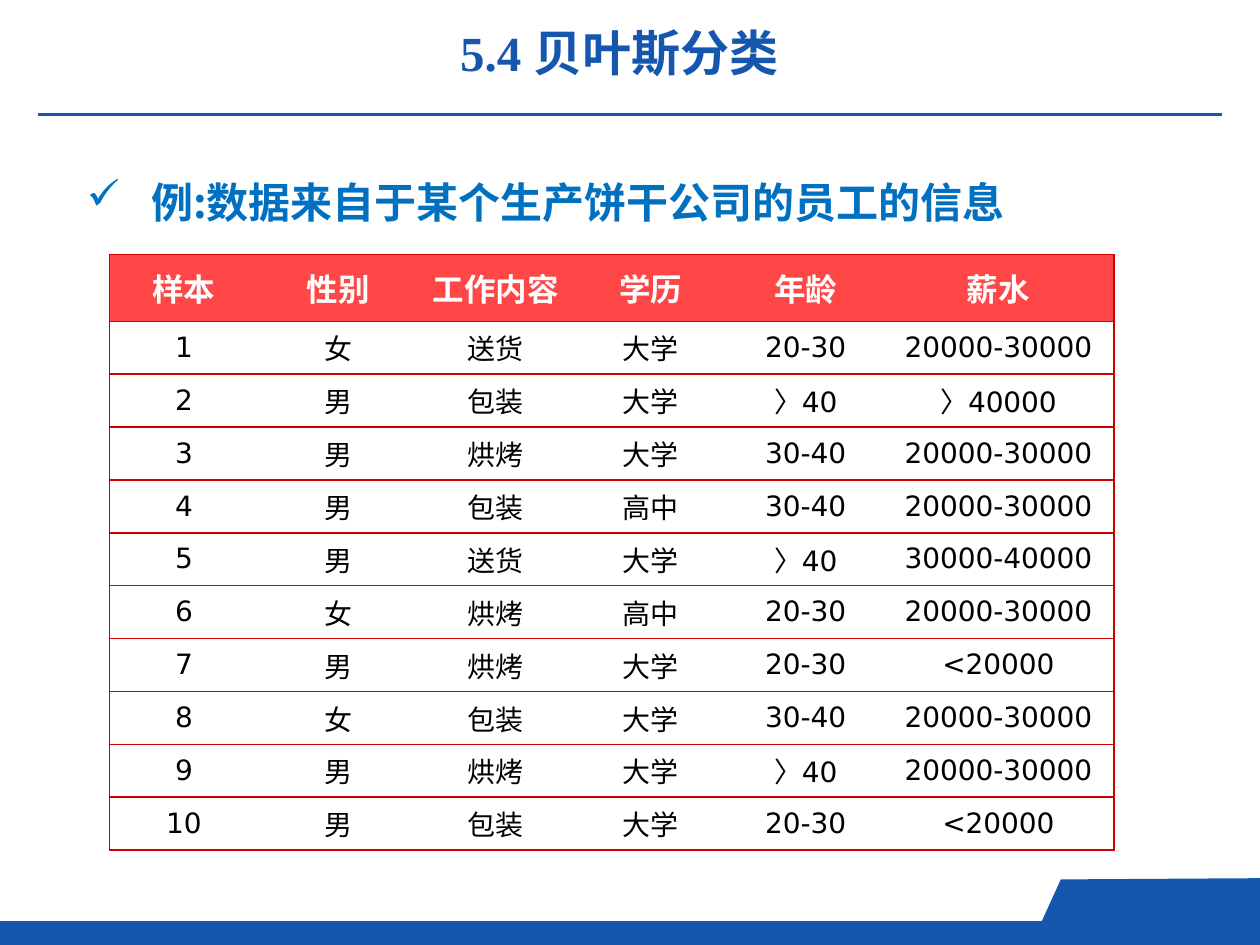
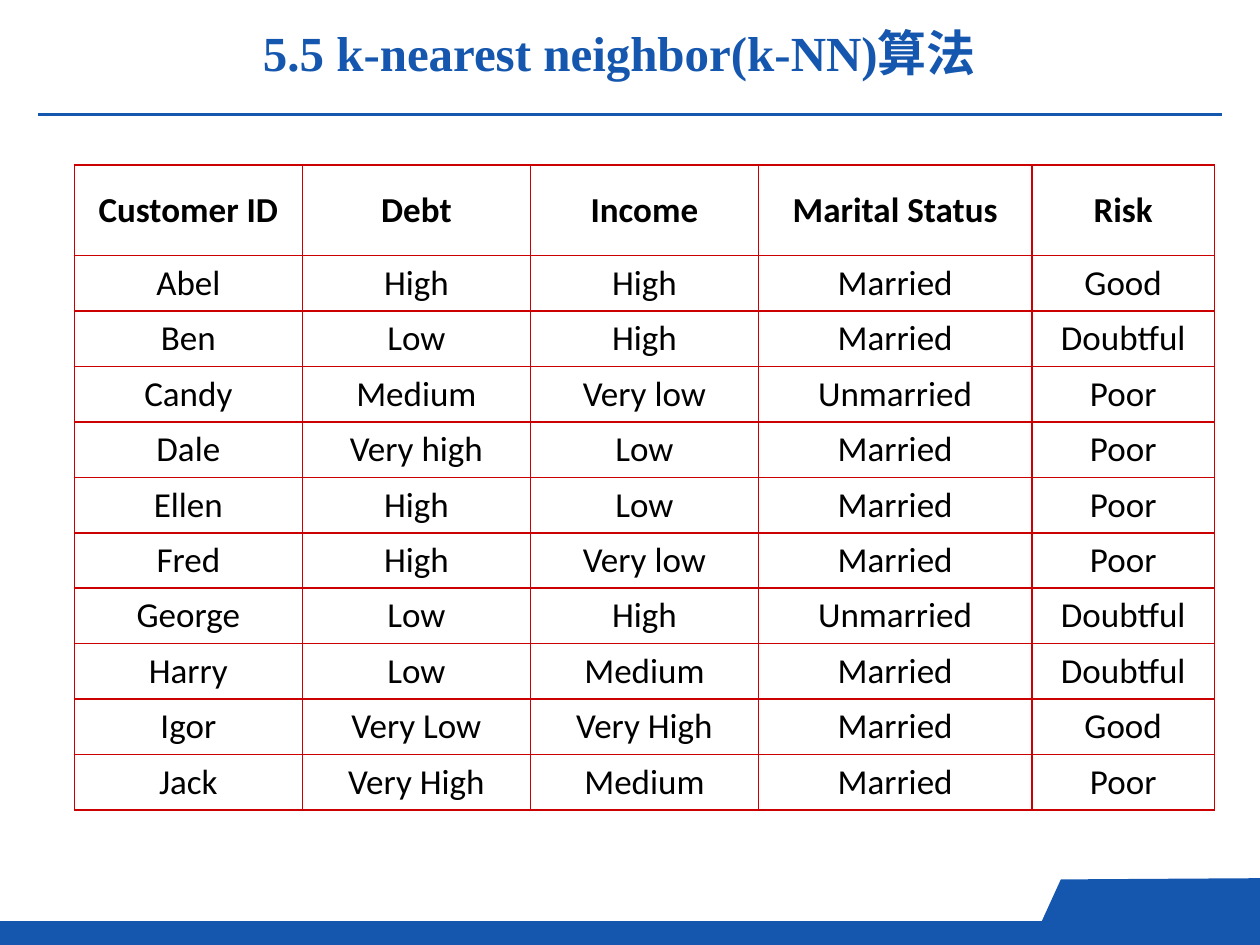
from lxml.etree import SubElement
from pptx import Presentation
from pptx.dml.color import RGBColor
from pptx.enum.shapes import MSO_CONNECTOR, MSO_SHAPE
from pptx.enum.text import MSO_ANCHOR, PP_ALIGN
from pptx.oxml import parse_xml
from pptx.oxml.ns import nsdecls, qn
from pptx.util import Inches, Pt

BLUE, SKY, RED, ROSE = "1557AE", "0070C0", "CC0000", "FF4747"
BLACK, WHITE = "000000", "FFFFFF"
HAN = "Noto Sans CJK SC"

STAFF = """样本 性别 工作内容 学历 年龄 薪水
1 女 送货 大学 20-30 20000-30000
2 男 包装 大学 〉40 〉40000
3 男 烘烤 大学 30-40 20000-30000
4 男 包装 高中 30-40 20000-30000
5 男 送货 大学 〉40 30000-40000
6 女 烘烤 高中 20-30 20000-30000
7 男 烘烤 大学 20-30 <20000
8 女 包装 大学 30-40 20000-30000
9 男 烘烤 大学 〉40 20000-30000
10 男 包装 大学 20-30 <20000"""

CREDIT = """Customer ID,Debt,Income,Marital Status,Risk
Abel,High,High,Married,Good
Ben,Low,High,Married,Doubtful
Candy,Medium,Very low,Unmarried,Poor
Dale,Very high,Low,Married,Poor
Ellen,High,Low,Married,Poor
Fred,High,Very low,Married,Poor
George,Low,High,Unmarried,Doubtful
Harry,Low,Medium,Married,Doubtful
Igor,Very Low,Very High,Married,Good
Jack,Very High,Medium,Married,Poor"""


def color(code):
    """Turn a hex string into a colour."""
    return RGBColor.from_string(code)


def paint(shape, code):
    """Fill a shape flat, with no line or shadow."""
    shape.fill.solid()
    shape.fill.fore_color.rgb = color(code)
    shape.line.fill.background()
    shape.shadow.inherit = False


def add_run(para, text, size, face, code, bold=False):
    """Add one styled run to a paragraph."""
    run = para.add_run()
    run.text = text
    font = run.font
    font.size, font.name, font.bold = Pt(size), face, bold
    font.color.rgb = color(code)
    SubElement(run._r.get_or_add_rPr(), qn("a:ea")).set("typeface", HAN)


def add_box(slide, left, top, width, height):
    """Add a wrapping text box and return its first paragraph."""
    box = slide.shapes.add_textbox(
        Inches(left), Inches(top), Inches(width), Inches(height))
    box.text_frame.word_wrap = True
    return box.text_frame.paragraphs[0]


def add_tab(slide, top):
    """Add the slanted tab in the lower right corner."""
    points = [(8.26, top + 0.36), (8.42, top + 0.01), (10, top), (10, top + 0.36)]
    spots = [(Inches(x), Inches(y)) for x, y in points]
    form = slide.shapes.build_freeform(*spots[0])
    form.add_line_segments(spots[1:], close=True)
    paint(form.convert_to_shape(), BLUE)


def add_frame(deck, title):
    """Add a slide with the title, rule and footer."""
    slide = deck.slides.add_slide(deck.slide_layouts[6])
    for top in (7.09, 6.97):
        add_tab(slide, top)
    band = slide.shapes.add_shape(
        MSO_SHAPE.FLOWCHART_PROCESS, 0, Inches(7.31), Inches(10), Inches(0.19))
    paint(band, BLUE)
    rule = slide.shapes.add_connector(
        MSO_CONNECTOR.STRAIGHT, Inches(0.3), Inches(0.91), Inches(9.7), Inches(0.91))
    rule.line.color.rgb = color(BLUE)
    rule.line.width = Pt(1.5)
    SubElement(rule._element.spPr, qn("a:effectLst"))
    para = add_box(slide, 0.9, 0.13, 8.03, 0.57)
    para.alignment = PP_ALIGN.CENTER
    add_run(para, title, 28, "Times New Roman", BLUE, True)
    return slide


def add_point(slide, text):
    """Add a ticked line of text."""
    para = add_box(slide, 0.59, 1.15, 9.18, 0.55)
    para.line_spacing = 1.5
    props = para._p.get_or_add_pPr()
    props.set("marL", str(Inches(0.51)))
    props.set("indent", str(-Inches(0.51)))
    SubElement(props, qn("a:buChar")).set("char", "✓")
    add_run(para, text, 24, HAN, SKY, True)


def set_edges(cell, sides):
    """Draw red borders on the given sides and none on the rest."""
    props = cell._tc.get_or_add_tcPr()
    for place, side in enumerate("LRTB"):
        ink = (f'<a:solidFill><a:srgbClr val="{RED}"/></a:solidFill>'
               if side in sides else "<a:noFill/>")
        props.insert(place, parse_xml(
            f'<a:ln{side} {nsdecls("a")} w="{Pt(1)}">{ink}</a:ln{side}>'))


def add_grid(slide, left, top, widths, head, step, rows):
    """Add a plain table and yield each cell with its row, column and text."""
    heights = [head] + [step] * (len(rows) - 1)
    table = slide.shapes.add_table(
        len(rows), len(widths), Inches(left), Inches(top),
        Inches(sum(widths)), Inches(sum(heights))).table
    table.first_row = table.horz_banding = False
    for col, width in zip(table.columns, widths):
        col.width = Inches(width)
    for row, height in zip(table.rows, heights):
        row.height = Inches(height)
    for i, row in enumerate(rows):
        for j, text in enumerate(row):
            cell = table.cell(i, j)
            cell.text_frame.paragraphs[0].alignment = PP_ALIGN.CENTER
            yield cell, i, j, text


def add_staff(slide):
    """Add the staff table with its red heading."""
    rows = [line.split() for line in STAFF.splitlines()]
    widths = [1.18, 1.27, 1.23, 1.23, 1.23, 1.83]
    last = len(widths) - 1
    for cell, i, j, text in add_grid(slide, 0.87, 2.02, widths, 0.53, 0.42, rows):
        size, ink, back = (16, BLACK, WHITE) if i else (18, WHITE, ROSE)
        cell.vertical_anchor = MSO_ANCHOR.MIDDLE
        cell.fill.solid()
        cell.fill.fore_color.rgb = color(back)
        set_edges(cell, "TB" + {0: "L", last: "R"}.get(j, ""))
        add_run(cell.text_frame.paragraphs[0], text, size, "DejaVu Sans", ink, i == 0)


def add_credit(slide):
    """Add the fully ruled credit table."""
    rows = [line.split(",") for line in CREDIT.splitlines()]
    widths = [1.81, 1.81, 1.81, 2.17, 1.45]
    for cell, i, j, text in add_grid(slide, 0.59, 1.31, widths, 0.72, 0.44, rows):
        cell.vertical_anchor = MSO_ANCHOR.TOP if i else MSO_ANCHOR.MIDDLE
        cell.fill.background()
        set_edges(cell, "LRTB")
        add_run(cell.text_frame.paragraphs[0], text, 20, "Calibri", BLACK, i == 0)


def main():
    """Build and save the deck."""
    deck = Presentation()
    deck.slide_width, deck.slide_height = Inches(10), Inches(7.5)
    slide = add_frame(deck, "5.4 贝叶斯分类")
    add_point(slide, "例:数据来自于某个生产饼干公司的员工的信息")
    add_staff(slide)
    add_credit(add_frame(deck, "5.5 k-nearest neighbor(k-NN)算法"))
    deck.save("out.pptx")


if __name__ == "__main__":
    main()
